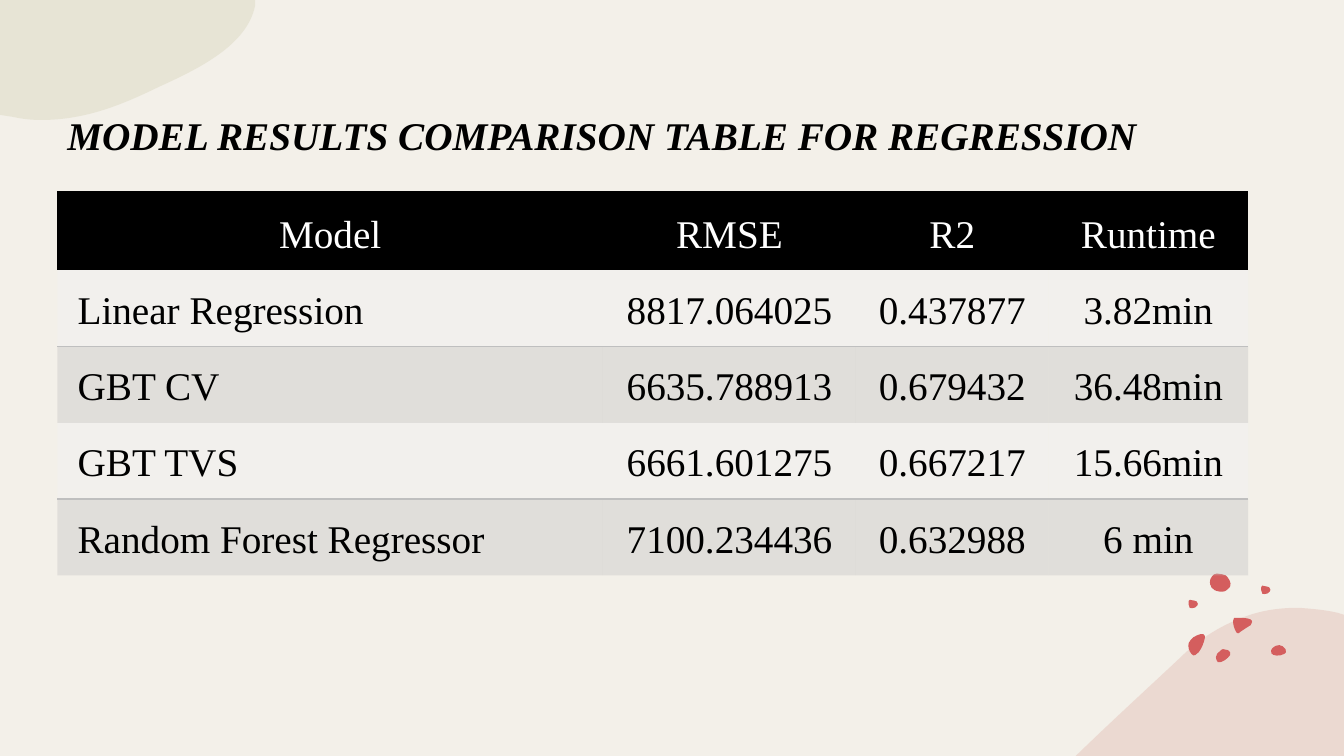
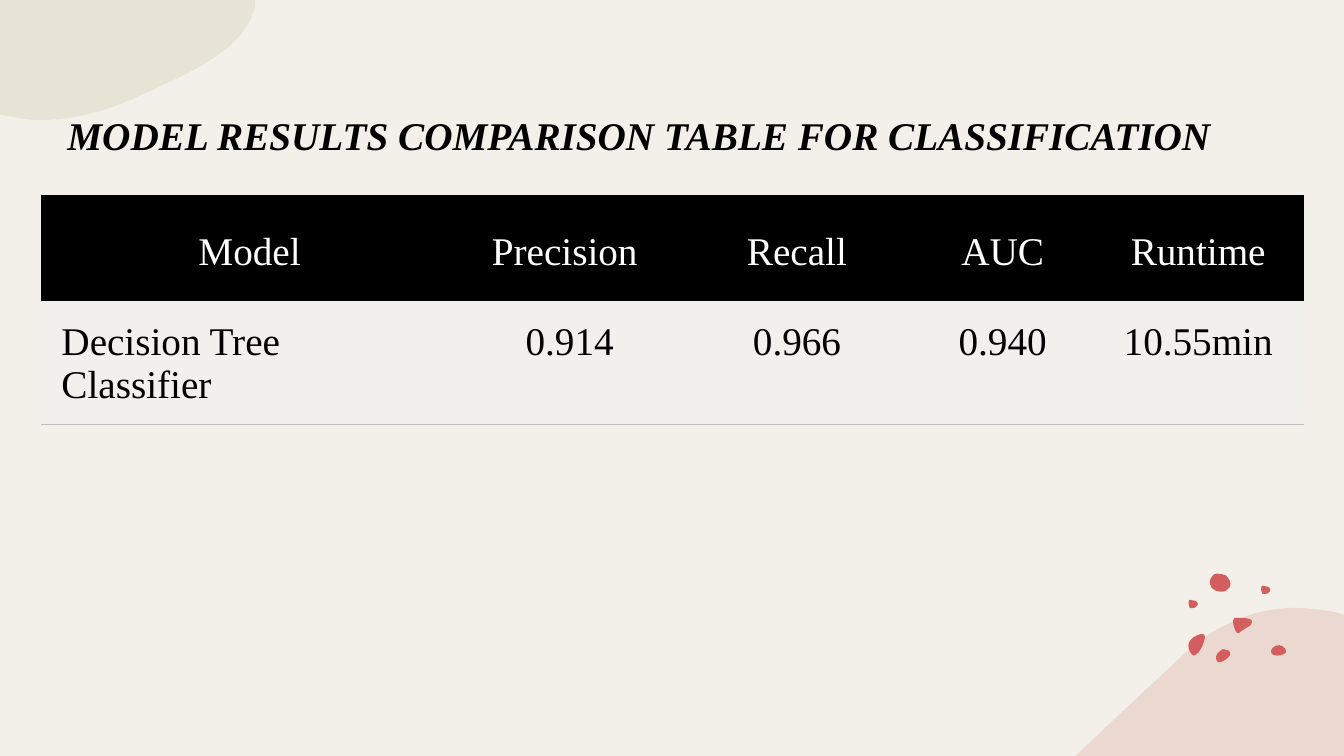
"""Build two slides that compare model results in tables."""
from lxml.etree import SubElement
from pptx import Presentation
from pptx.dml.color import RGBColor
from pptx.enum.text import MSO_ANCHOR, PP_ALIGN
from pptx.oxml.ns import qn
from pptx.util import Inches, Pt

CREAM = RGBColor(0xF3, 0xF0, 0xE9)
SAGE = RGBColor(0xDC, 0xD9, 0xC3)
BLUSH = RGBColor(0xE5, 0xC4, 0xBA)
CORAL = RGBColor(0xD4, 0x5E, 0x5E)
BLACK = RGBColor(0, 0, 0)
WHITE = RGBColor(255, 255, 255)
PALE = RGBColor(0xF2, 0xF2, 0xF2)
GRAY = RGBColor(0xBF, 0xBF, 0xBF)
FONT = "Times New Roman"
PLAIN_TABLE = "{2D5ABB26-0587-4C30-8999-92F81FD0307C}"
EDGES = ("lnL", "lnR", "lnT", "lnB")

SLIDES = [
    {
        "title": "MODEL RESULTS COMPARISON TABLE FOR REGRESSION",
        "title_size": (11.5, 1.2),
        "table_at": (0.57, 1.89, 11.8, 3.8),
        "columns": [5.41, 2.51, 1.91, 1.98],
        "heights": [0.79, 0.73, 0.73, 0.73, 0.73],
        "rows": [
            ("Model", "RMSE", "R2", "Runtime"),
            ("Linear Regression", "8817.064025", "0.437877", "3.82min"),
            ("GBT CV", "6635.788913 ", "0.679432", "36.48min"),
            ("GBT TVS", "6661.601275", "0.667217", "15.66min"),
            ("Random Forest Regressor", "7100.234436 ", "0.632988", "6 min"),
        ],
    },
    {
        "title": "MODEL RESULTS COMPARISON TABLE FOR CLASSIFICATION",
        "title_size": (11.71, 1.1),
        "table_at": (0.41, 1.93, 12.51, 2.28),
        "columns": [4.13, 2.22, 2.29, 1.79, 2.09],
        "heights": [1.06, 1.08],
        "rows": [
            ("Model", "Precision ", "Recall", "AUC", "Runtime"),
            ("Decision Tree Classifier", "0.914", "0.966", "0.940", "10.55min"),
        ],
    },
]

BLUSH_HILL = [
    (12.88, 6.03), (13.01, 6.04, 13.14, 6.05, 13.27, 6.08), (13.33, 6.1),
    (13.33, 7.5), (10.67, 7.5), (10.68, 7.49),
    (11.02, 7.16, 11.37, 6.84, 11.69, 6.54),
    (11.91, 6.32, 12.14, 6.19, 12.37, 6.11),
    (12.54, 6.05, 12.71, 6.03, 12.88, 6.03),
]
SAGE_CORNER = [
    (0, 0), (2.53, 0), (2.53, 0.06), (2.45, 0.44, 2, 0.67, 1.58, 0.86),
    (1.23, 1.03, 0.86, 1.19, 0.41, 1.19),
    (0.31, 1.19, 0.22, 1.18, 0.13, 1.16), (0, 1.14), (0, 0),
]
SMALL_PEBBLE = [
    (0.01, 0.05), (0.01, 0.05, 0, 0.01, 0.02, 0), (0.04, 0, 0.05, 0, 0.07, 0.01),
    (0.08, 0.01, 0.1, 0.02, 0.1, 0.04), (0.1, 0.05, 0.09, 0.07, 0.08, 0.07),
    (0.08, 0.07, 0.08, 0.08, 0.06, 0.08), (0.05, 0.08, 0.03, 0.09, 0.02, 0.08),
    (0.01, 0.06, 0.01, 0.06, 0.01, 0.05),
]
PEBBLES = [
    [(12.13, 6.44), (12.15, 6.44, 12.16, 6.44, 12.18, 6.45),
     (12.2, 6.46, 12.21, 6.48, 12.2, 6.5), (12.18, 6.53, 12.12, 6.58, 12.08, 6.57),
     (12.07, 6.56, 12.06, 6.54, 12.06, 6.52), (12.06, 6.5, 12.08, 6.47, 12.1, 6.46),
     (12.11, 6.45, 12.12, 6.44, 12.13, 6.44)],
    [(11.91, 6.29), (11.93, 6.29, 11.95, 6.29, 11.95, 6.31),
     (11.95, 6.32, 11.95, 6.32, 11.95, 6.33), (11.94, 6.38, 11.92, 6.43, 11.89, 6.47),
     (11.87, 6.49, 11.84, 6.52, 11.82, 6.49), (11.79, 6.46, 11.78, 6.41, 11.79, 6.38),
     (11.8, 6.35, 11.82, 6.34, 11.84, 6.32), (11.85, 6.32, 11.88, 6.29, 11.91, 6.29)],
    [(12.69, 6.4), (12.71, 6.4, 12.74, 6.42, 12.75, 6.44),
     (12.76, 6.46, 12.76, 6.48, 12.73, 6.49), (12.7, 6.51, 12.62, 6.51, 12.61, 6.48),
     (12.6, 6.46, 12.61, 6.44, 12.62, 6.43), (12.64, 6.41, 12.66, 6.4, 12.69, 6.4)],
    [(12.01, 5.81), (12, 5.81, 11.99, 5.75, 12.02, 5.72),
     (12.04, 5.7, 12.04, 5.69, 12.07, 5.69), (12.1, 5.69, 12.14, 5.7, 12.16, 5.71),
     (12.18, 5.73, 12.22, 5.78, 12.2, 5.82), (12.17, 5.85, 12.16, 5.87, 12.12, 5.87),
     (12.09, 5.87, 12.04, 5.86, 12.03, 5.84), (12.01, 5.83, 12.01, 5.82, 12.01, 5.81)],
    [(12.28, 6.13), (12.34, 6.13, 12.45, 6.13, 12.41, 6.19),
     (12.41, 6.2, 12.4, 6.21, 12.39, 6.21), (12.36, 6.23, 12.33, 6.25, 12.3, 6.27),
     (12.29, 6.28, 12.28, 6.29, 12.27, 6.28), (12.27, 6.28, 12.26, 6.27, 12.26, 6.27),
     (12.24, 6.23, 12.23, 6.2, 12.23, 6.16), (12.23, 6.15, 12.23, 6.14, 12.24, 6.13),
     (12.24, 6.13, 12.25, 6.13, 12.25, 6.13), (12.26, 6.13, 12.27, 6.13, 12.28, 6.13)],
]
SMALL_PEBBLE_ORIGINS = [(12.5, 5.81), (11.78, 5.95)]


def write_text(frame, text, color=BLACK, bold=False, italic=False,
               align=PP_ALIGN.LEFT, space_after=0):
    frame.word_wrap = True
    para = frame.paragraphs[0]
    para.alignment = align
    para.space_after = Pt(space_after)
    span = para.add_run()
    span.text = text
    font = span.font
    font.name, font.size = FONT, Pt(28)
    font.bold, font.italic = bold, italic
    font.color.rgb = color


def paint(fill, element, color, opacity=100):
    fill.solid()
    fill.fore_color.rgb = color
    if opacity < 100:
        tint = next(element.iter(qn("a:srgbClr")))
        SubElement(tint, qn("a:alpha"), val=str(opacity * 1000))


def bend(blob, segments):
    lines = list(blob._element.iter(qn("a:lnTo")))
    for line, numbers in zip(lines, segments):
        if len(numbers) == 2:
            continue
        line.clear()
        curve = line.makeelement(qn("a:cubicBezTo"))
        for x, y in zip(numbers[::2], numbers[1::2]):
            SubElement(curve, qn("a:pt"), x=str(x - blob.left), y=str(y - blob.top))
        line.getparent().replace(line, curve)


def add_blob(page, outline, color, opacity=100, origin=(0, 0)):
    outline = [tuple(Inches(value + origin[index % 2])
                     for index, value in enumerate(numbers)) for numbers in outline]
    ends = [numbers[-2:] for numbers in outline]
    builder = page.shapes.build_freeform(*ends[0])
    builder.add_line_segments(ends[1:], close=True)
    blob = builder.convert_to_shape()
    bend(blob, outline[1:])
    blob.shadow.inherit = False
    paint(blob.fill, blob._element.spPr, color, opacity)
    blob.line.fill.background()
    page.slide_layout.shapes._spTree.append(blob._element)


def add_backdrop(page):
    fill = page.slide_layout.background.fill
    fill.solid()
    fill.fore_color.rgb = CREAM
    add_blob(page, BLUSH_HILL, BLUSH, opacity=50)
    for pebble in PEBBLES:
        add_blob(page, pebble, CORAL)
    for origin in SMALL_PEBBLE_ORIGINS:
        add_blob(page, SMALL_PEBBLE, CORAL, origin=origin)
    add_blob(page, SAGE_CORNER, SAGE, opacity=50)


def add_borders(properties, ruled):
    for place, edge in enumerate(EDGES):
        border = properties.makeelement(qn(f"a:{edge}"), w=str(Pt(1)))
        if edge == ruled:
            SubElement(SubElement(border, qn("a:solidFill")), qn("a:srgbClr"), val=str(GRAY))
        else:
            SubElement(border, qn("a:noFill"))
        properties.insert(place, border)


def format_cell(cell, text, row, column):
    header = row == 0
    cell.margin_left = cell.margin_right = Inches(0.2)
    cell.margin_top, cell.margin_bottom = Inches(0.19), Inches(0.1)
    cell.vertical_anchor = MSO_ANCHOR.MIDDLE if header else MSO_ANCHOR.TOP
    write_text(cell.text_frame, text, color=WHITE if header else BLACK,
               align=PP_ALIGN.CENTER if header or column else PP_ALIGN.LEFT)
    color, opacity, ruled = ((BLACK, 100, None) if header else
                             (PALE, 45, "lnB") if row % 2 else (GRAY, 35, "lnT"))
    properties = cell._tc.get_or_add_tcPr()
    paint(cell.fill, properties, color, opacity)
    add_borders(properties, ruled)


def add_results(page, content):
    columns, heights, rows = content["columns"], content["heights"], content["rows"]
    left, top, width, height = (Inches(value) for value in content["table_at"])
    frame = page.shapes.add_table(len(rows), len(columns), left, top, width, height)
    table = frame.table
    next(table._tbl.iter(qn("a:tableStyleId"))).text = PLAIN_TABLE
    table.horz_banding = False
    for column, column_width in zip(table.columns, columns):
        column.width = Inches(column_width)
    for index, (row_height, texts) in enumerate(zip(heights, rows)):
        table.rows[index].height = Inches(row_height)
        for column, text in enumerate(texts):
            format_cell(table.cell(index, column), text, index, column)
    frame.width, frame.height = width, height


def main():
    deck = Presentation()
    deck.slide_width, deck.slide_height = Inches(13.33), Inches(7.5)
    pages = [deck.slides.add_slide(deck.slide_layouts[6]) for _ in SLIDES]
    add_backdrop(pages[0])
    for page, content in zip(pages, SLIDES):
        width, height = content["title_size"]
        box = page.shapes.add_textbox(Inches(0.57), Inches(1.06),
                                      Inches(width), Inches(height))
        write_text(box.text_frame, content["title"], bold=True, italic=True, space_after=6)
        add_results(page, content)
    deck.save("out.pptx")


if __name__ == "__main__":
    main()
